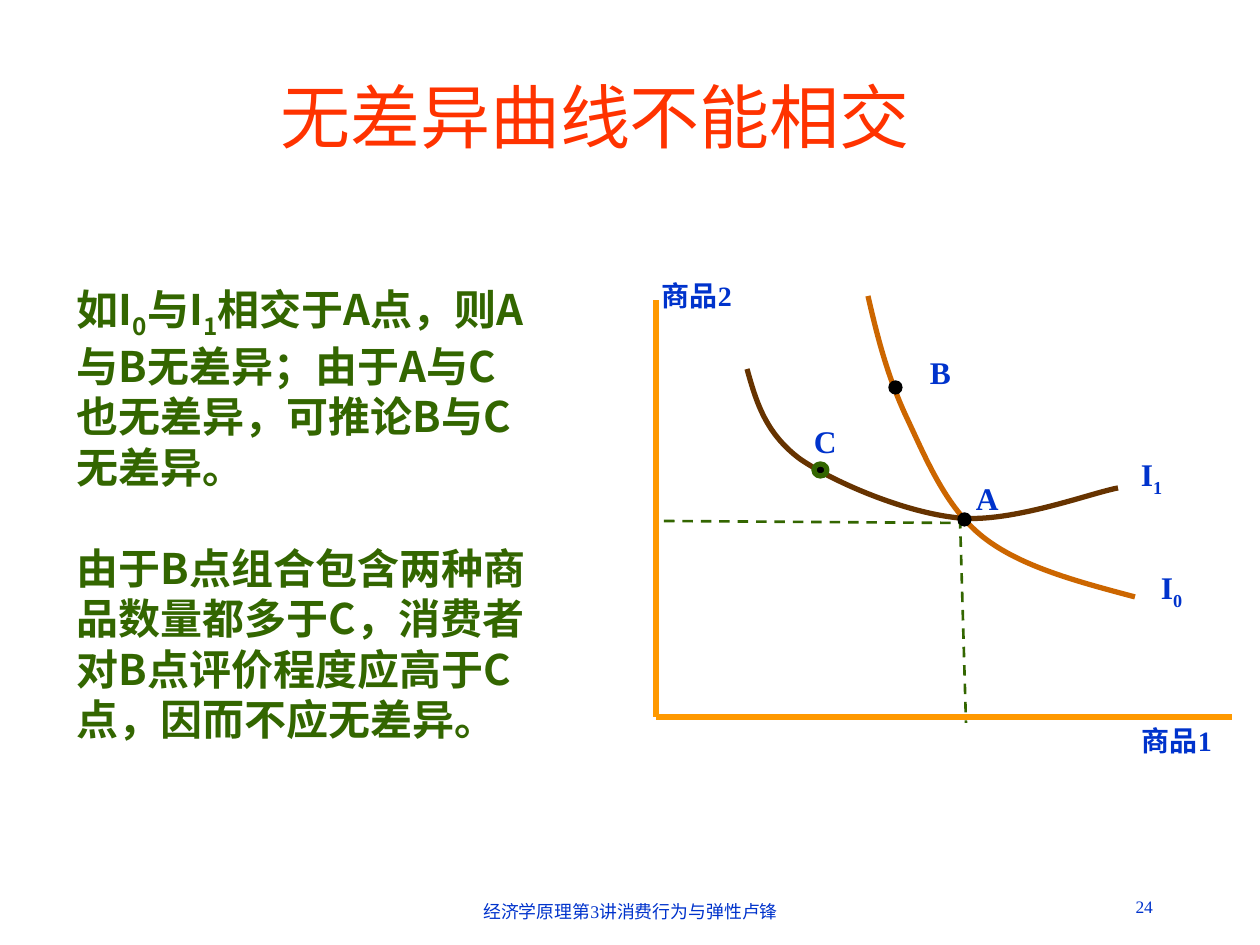
from lxml import etree
from pptx import Presentation
from pptx.dml.color import RGBColor
from pptx.enum.dml import MSO_LINE
from pptx.enum.shapes import MSO_CONNECTOR, MSO_SHAPE
from pptx.enum.text import MSO_ANCHOR, MSO_AUTO_SIZE, PP_ALIGN
from pptx.oxml.ns import qn
from pptx.util import Pt

EMU_PER_PX = 914400 / 126
STRAIGHT = MSO_CONNECTOR.STRAIGHT
OVAL = MSO_SHAPE.OVAL
DASH = MSO_LINE.DASH
TOP, MIDDLE = MSO_ANCHOR.TOP, MSO_ANCHOR.MIDDLE
NO_FIT, GROW = MSO_AUTO_SIZE.NONE, MSO_AUTO_SIZE.SHAPE_TO_FIT_TEXT
LEFT, CENTER, RIGHT, JUSTIFY = PP_ALIGN.LEFT, PP_ALIGN.CENTER, PP_ALIGN.RIGHT, PP_ALIGN.JUSTIFY

SANS = "Noto Sans CJK SC"
SERIF = "Times New Roman"
COLORS = {
    "title": "FF3300",
    "body": "336600",
    "label": "0033CC",
    "axis": "FF9900",
    "curve_i0": "CC6600",
    "curve_i1": "663300",
    "guide": "336600",
    "point": "000000",
}
FORMATS = {
    "title": {"name": SANS, "size": Pt(40), "bold": False},
    "body": {"name": SANS, "size": Pt(24), "bold": True},
    "footer": {"name": SERIF, "size": Pt(10.2), "bold": False},
    "number": {"name": SERIF, "size": Pt(10), "bold": False},
    "point": {"name": SERIF, "size": Pt(18), "bold": True},
    "axis": {"name": SERIF, "size": Pt(16), "bold": True},
}


def emu(px):
    return round(px * EMU_PER_PX)


def color(name):
    return RGBColor.from_string(COLORS[name])


class SlideBuilder:
    def __init__(self, page):
        self.page = page

    def fill_frame(self, frame, paragraphs, style, tint, align, gap=0):
        for index, text in enumerate(paragraphs):
            para = frame.paragraphs[0] if index == 0 else frame.add_paragraph()
            para.alignment = align
            para.space_before = Pt(gap if index else 0)
            for position, part in enumerate(text.split("|")):
                span = para.add_run()
                span.text = part
                for key, value in FORMATS[style].items():
                    setattr(span.font, key, value)
                span.font.color.rgb = color(tint)
                properties = span._r.get_or_add_rPr()
                etree.SubElement(properties, qn("a:ea")).set("typeface", SANS)
                if position % 2:
                    properties.set("baseline", "-25000")

    def title(self, area, text):
        box = self.page.shapes.title
        box.left, box.top, box.width, box.height = map(emu, area)
        box.text_frame.vertical_anchor = MIDDLE
        box.text_frame.auto_size = NO_FIT
        self.fill_frame(box.text_frame, [text], "title", "title", CENTER)

    def text(self, area, paragraphs, style, tint="label", align=JUSTIFY,
             inset=(0, 0), fit=NO_FIT, gap=0):
        frame = self.page.shapes.add_textbox(*map(emu, area)).text_frame
        side, edge = map(emu, inset)
        settings = {
            "word_wrap": True, "auto_size": fit, "vertical_anchor": TOP,
            "margin_left": side, "margin_right": side,
            "margin_top": edge, "margin_bottom": edge,
        }
        for key, value in settings.items():
            setattr(frame, key, value)
        self.fill_frame(frame, paragraphs, style, tint, align, gap)

    def line(self, start, end, tint, weight, dash=None):
        connector = self.page.shapes.add_connector(STRAIGHT, *map(emu, start + end))
        connector.line.color.rgb = color(tint)
        connector.line.width = Pt(weight)
        if dash:
            connector.line.dash_style = dash
        etree.SubElement(connector._element.spPr, qn("a:effectLst"))

    def curve(self, points, tint):
        start, *controls = [(emu(x), emu(y)) for x, y in points]
        builder = self.page.shapes.build_freeform(*start)
        builder.add_line_segments(controls, close=False)
        shape = builder.convert_to_shape()
        outline = next(shape._element.iter(qn("a:path")))
        steps = outline.findall(qn("a:lnTo"))
        for first in range(0, len(steps), 3):
            bend = etree.SubElement(outline, qn("a:cubicBezTo"))
            for step in steps[first:first + 3]:
                bend.append(step[0])
                outline.remove(step)
        shape.shadow.inherit = False
        shape.fill.background()
        shape.line.color.rgb = color(tint)
        shape.line.width = Pt(3)

    def dot(self, area, outline, weight):
        shape = self.page.shapes.add_shape(OVAL, *map(emu, area))
        shape.shadow.inherit = False
        shape.fill.solid()
        shape.fill.fore_color.rgb = color("point")
        shape.line.color.rgb = color(outline)
        shape.line.width = Pt(weight)


def main():
    deck = Presentation()
    deck.slide_width, deck.slide_height = emu(1260), emu(945)
    slide = SlideBuilder(deck.slides.add_slide(deck.slide_layouts[5]))

    inset = (13, 6)
    slide.text((431, 895, 399, 35), ["经济学原理第3讲消费行为与弹性卢锋"],
               "footer", align=CENTER, inset=inset)
    slide.text((904, 890, 262, 35), ["24"], "number", align=RIGHT, inset=inset)
    slide.text(
        (64, 277, 476, 524),
        ["如I|0|与I|1|相交于A点，则A与B无差异；由于A与C也无差异，可推论B与C无差异。",
         "由于B点组合包含两种商品数量都多于C，消费者对B点评价程度应高于C点，因而不应无差异。"],
        "body", "body", LEFT, inset, GROW, gap=29)
    slide.title((64, 66, 1062, 100), "无差异曲线不能相交")

    origin = (656, 717)
    for end in ((1232, 717), (656, 300)):
        slide.line(origin, end, "axis", 3)

    slide.curve([
        (747, 369),
        (756, 401), (765, 433), (800, 459),
        (835, 483), (906, 513), (959, 518),
        (1012, 523), (1091, 493), (1118, 488),
    ], "curve_i1")
    slide.curve([
        (868, 296),
        (877, 335), (887, 375), (906, 416),
        (925, 456), (945, 507), (983, 537),
        (1021, 567), (1079, 582), (1135, 597),
    ], "curve_i0")

    for start, end in (((969, 523), (659, 521)), ((960, 518), (966, 723))):
        slide.line(start, end, "guide", 1.5, DASH)

    slide.dot((814, 464, 13, 12), "guide", 3)
    for left, top in ((889, 381), (958, 513)):
        slide.dot((left, top, 13, 13), "point", 0.75)

    for text, left, top in (("A", 976, 479), ("B", 930, 353), ("C", 814, 422)):
        slide.text((left, top, 26, 43), [text], "point")
    for text, left, top in (("I|1", 1141, 455), ("I|0", 1161, 568)):
        slide.text((left, top, 33, 48), [text], "point")
    for text, left, top in (("商品1", 1142, 724), ("商品2", 662, 279)):
        slide.text((left, top, 116, 52), [text], "axis")

    deck.save("out.pptx")


if __name__ == "__main__":
    main()
